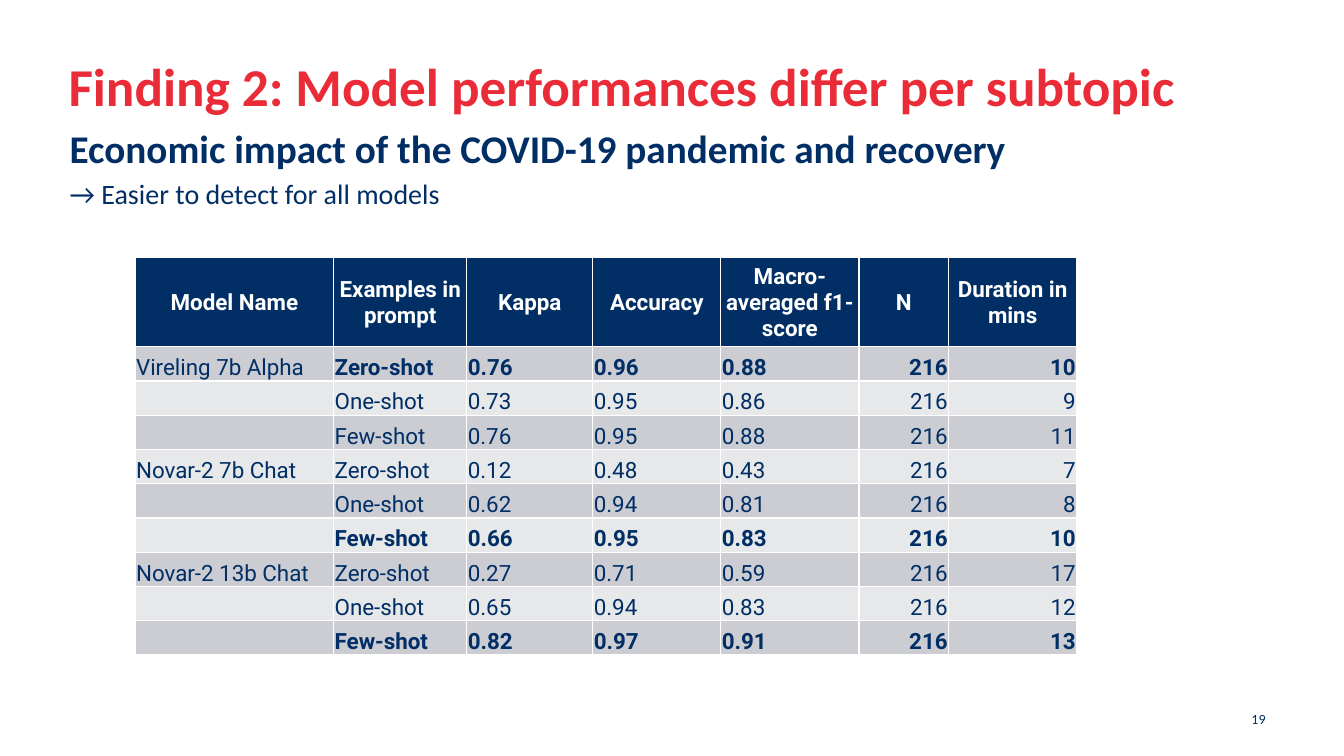
from dataclasses import dataclass

from pptx import Presentation
from pptx.dml.color import RGBColor
from pptx.enum.text import MSO_ANCHOR as Anchor, MSO_AUTO_SIZE as AutoSize, PP_ALIGN as Align
from pptx.oxml.xmlchemy import OxmlElement
from pptx.util import Inches, Pt

# Content
TITLE = "Finding 2: Model performances differ per subtopic"
SUBTITLE = "Economic impact of the COVID-19 pandemic and recovery"
REMARK = "→ Easier to detect for all models"
PAGE_NUMBER = "19"
HEADERS = ("Model Name", "Examples in prompt", "Kappa", "Accuracy",
           "Macro-averaged f1- score", "N", "Duration in mins")
RESULTS = [
    ("Vireling 7b Alpha", "Zero-shot", "0.76", "0.96", "0.88", "216", "10"),
    ("", "One-shot", "0.73", "0.95", "0.86", "216", "9"),
    ("", "Few-shot", "0.76", "0.95", "0.88", "216", "11"),
    ("Novar-2 7b Chat", "Zero-shot", "0.12", "0.48", "0.43", "216", "7"),
    ("", "One-shot", "0.62", "0.94", "0.81", "216", "8"),
    ("", "Few-shot", "0.66", "0.95", "0.83", "216", "10"),
    ("Novar-2 13b Chat", "Zero-shot", "0.27", "0.71", "0.59", "216", "17"),
    ("", "One-shot", "0.65", "0.94", "0.83", "216", "12"),
    ("", "Few-shot", "0.82", "0.97", "0.91", "216", "13"),
]
BEST_ROWS = {1, 6, 9}
RIGHT_ALIGNED = {"N", "Duration in mins"}

# Layout in inches
SLIDE_SIZE = (13.33, 7.5)
TITLE_BOX = (0.68, 0.53, 11.97, 0.87)
BODY_BOX = (0.69, 1.23, 11.96, 0.97)
NUMBER_BOX = (9.76, 6.93, 2.89, 0.4)
TABLE_CORNER = (1.34, 2.55)
COLUMN_WIDTHS = (1.97, 1.32, 1.25, 1.27, 1.37, 0.89, 1.27)
ROW_HEIGHTS = (0.89,) + (0.34,) * len(RESULTS)
CELL_MARGIN = 0.01


@dataclass(frozen=True)
class Theme:
    red: str = "EA2C38"
    navy: str = "002E65"
    white: str = "FFFFFF"
    bands: tuple = ("E7E8EA", "CCCDD3")
    text_font: str = "Calibri"
    table_font: str = "Roboto"
    title: int = 38
    subtitle: int = 28
    remark: int = 20
    cell: int = 16
    number: int = 10


theme = Theme()


def style(para, face, size, color, bold=False, align=Align.LEFT):
    para.alignment = align
    font = para.font
    font.name, font.size, font.bold = face, Pt(size), bold
    font.color.rgb = RGBColor.from_string(color)


def place(shape, box):
    shape.left, shape.top, shape.width, shape.height = map(Inches, box)
    frame = shape.text_frame
    frame.word_wrap, frame.auto_size = True, AutoSize.NONE
    frame.vertical_anchor = Anchor.TOP
    frame.margin_left = frame.margin_right = frame.margin_top = frame.margin_bottom = 0
    return frame


def add_headings(page):
    frame = place(page.shapes.title, TITLE_BOX)
    frame.text = TITLE
    style(frame.paragraphs[0], theme.text_font, theme.title, theme.red, bold=True)

    frame = place(page.placeholders[1], BODY_BOX)
    frame.text = f"{SUBTITLE}\n{REMARK}"
    sizes = ((theme.subtitle, True), (theme.remark, False))
    for para, (size, bold) in zip(frame.paragraphs, sizes):
        style(para, theme.text_font, size, theme.navy, bold)
        properties = para._p.get_or_add_pPr()
        properties.set("marL", "0")
        properties.set("indent", "0")
        properties.insert_element_before(OxmlElement("a:buNone"), "a:tabLst", "a:defRPr")


def add_results(page):
    size = (sum(COLUMN_WIDTHS), sum(ROW_HEIGHTS))
    table = page.shapes.add_table(len(ROW_HEIGHTS), len(COLUMN_WIDTHS),
                                  *map(Inches, TABLE_CORNER + size)).table
    for column, width in zip(table.columns, COLUMN_WIDTHS):
        column.width = Inches(width)
    for row, height in zip(table.rows, ROW_HEIGHTS):
        row.height = Inches(height)

    for r, values in enumerate([HEADERS, *RESULTS]):
        is_header = r == 0
        fill = theme.navy if is_header else theme.bands[r % 2]
        color = theme.white if is_header else theme.navy
        for c, (header, value) in enumerate(zip(HEADERS, values)):
            cell = table.cell(r, c)
            cell.text = value
            cell.fill.solid()
            cell.fill.fore_color.rgb = RGBColor.from_string(fill)
            cell.margin_left = cell.margin_right = cell.margin_top = Inches(CELL_MARGIN)
            cell.margin_bottom = 0
            cell.vertical_anchor = Anchor.MIDDLE if is_header else Anchor.BOTTOM
            align = Align.RIGHT if header in RIGHT_ALIGNED else Align.LEFT
            bold = is_header or (r in BEST_ROWS and c > 0)
            style(cell.text_frame.paragraphs[0], theme.table_font, theme.cell, color,
                  bold, Align.CENTER if is_header else align)


def add_page_number(page):
    box = page.shapes.add_textbox(*map(Inches, NUMBER_BOX))
    frame = box.text_frame
    frame.word_wrap, frame.vertical_anchor = True, Anchor.MIDDLE
    frame.text = PAGE_NUMBER
    para = frame.paragraphs[0]
    style(para, theme.text_font, theme.number, theme.navy, align=Align.RIGHT)
    para.space_after = Pt(6)


def main():
    deck = Presentation()
    deck.slide_width, deck.slide_height = map(Inches, SLIDE_SIZE)
    page = deck.slides.add_slide(deck.slide_layouts[1])
    add_headings(page)
    add_results(page)
    add_page_number(page)
    deck.save("out.pptx")


if __name__ == "__main__":
    main()
